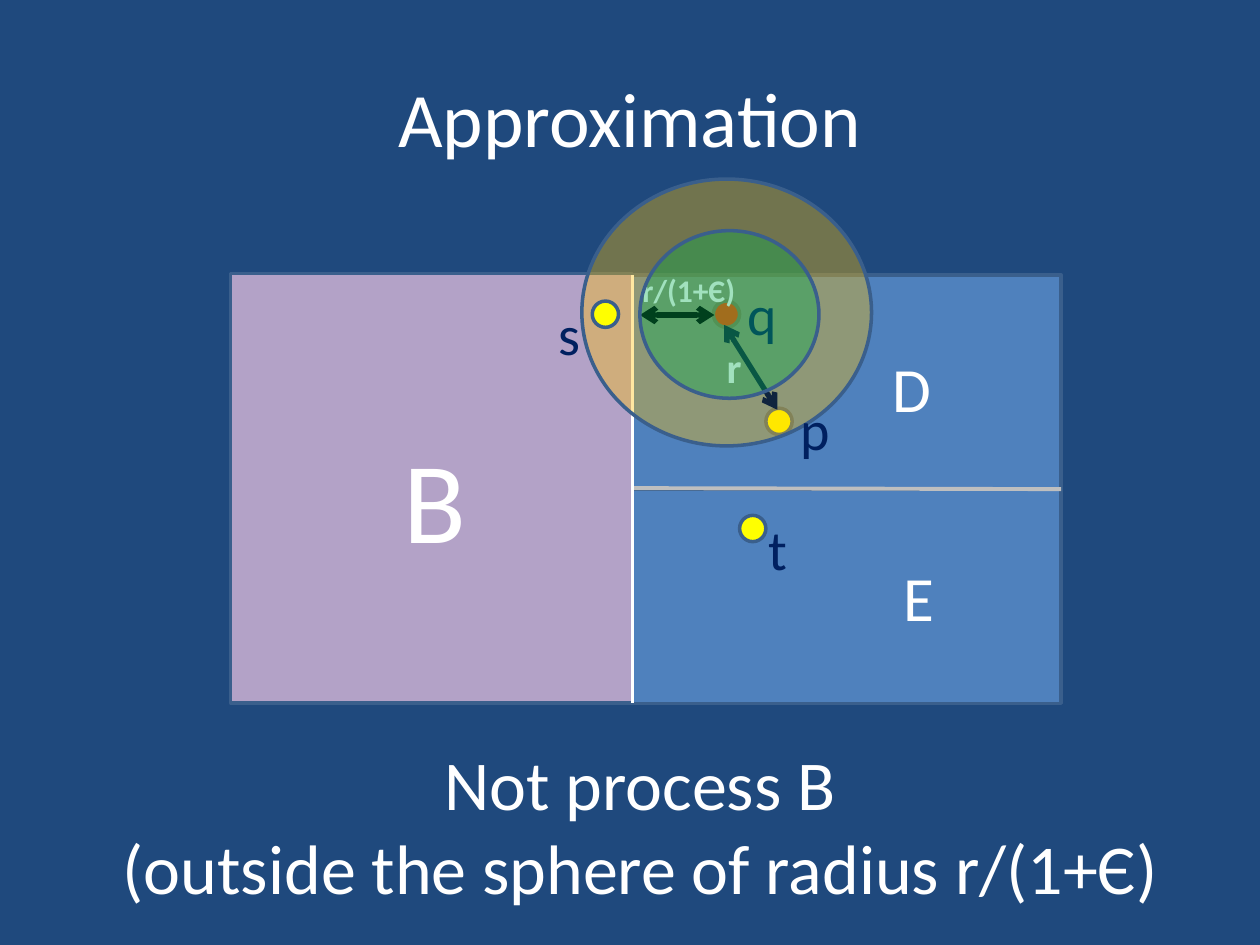
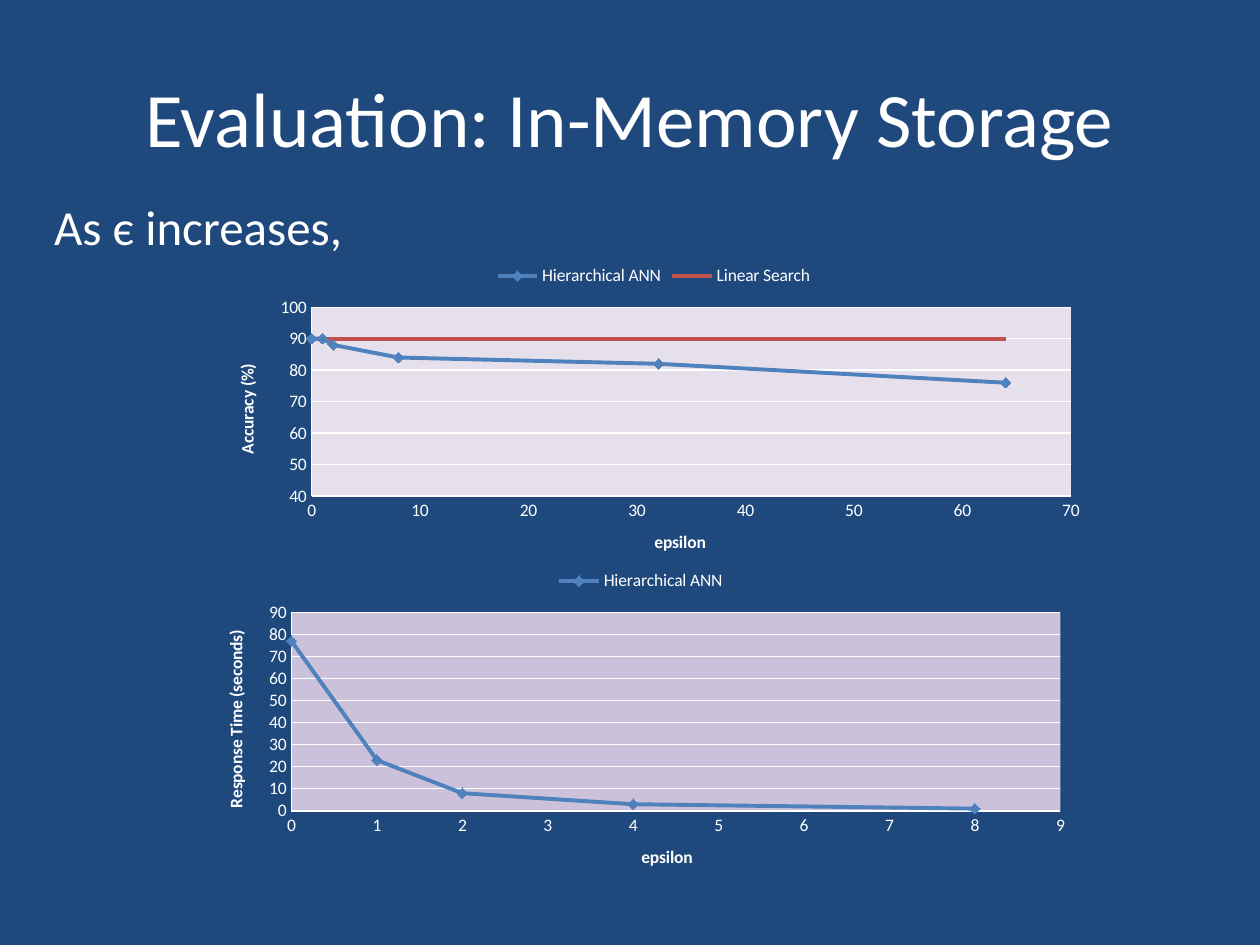
from lxml.etree import SubElement
from pptx import Presentation
from pptx.chart.data import XyChartData
from pptx.dml.color import RGBColor
from pptx.enum.chart import XL_CHART_TYPE, XL_LEGEND_POSITION, XL_MARKER_STYLE, XL_TICK_MARK
from pptx.enum.shapes import MSO_CONNECTOR, MSO_SHAPE
from pptx.enum.text import MSO_ANCHOR, PP_ALIGN
from pptx.oxml.ns import qn
from pptx.util import Cm, Pt

FONT = "Calibri"
COLORS = {
    "background": "1F497D", "white": "FFFFFF", "outline": "3A5F8C", "blue": "4F81BD",
    "purple": "B3A2C7", "red": "FF0000", "yellow": "FFFF00", "amber": "FFC000",
    "green": "00B050", "navy": "002060", "ink": "0F243E", "black": "000000",
    "gray": "BFBFBF", "brick": "C0504D", "lilac": "CCC1DA", "pale lilac": "E6E0EC",
}
RGB = {name: RGBColor.from_string(value) for name, value in COLORS.items()}


def add_figure(page, kind, place, color, alpha=None):
    figure = page.shapes.add_shape(kind, *[Cm(length) for length in place])
    figure.shadow.inherit = False
    figure.fill.solid()
    figure.fill.fore_color.rgb = RGB[color]
    figure.line.color.rgb = RGB["outline"]
    figure.line.width = Pt(2)
    if alpha:
        fill = figure.element.spPr.find(qn("a:solidFill"))
        SubElement(fill[0], qn("a:alpha"), val=str(alpha * 1000))
    return figure


def write_text(box, text, size, color="white", align=PP_ALIGN.LEFT, bold=False):
    box.text_frame.text = text
    box.text_frame.word_wrap = True
    for para in box.text_frame.paragraphs:
        para.alignment = align
        for span in para.runs:
            span.font.name = FONT
            span.font.size = Pt(size)
            span.font.bold = bold
            span.font.color.rgb = RGB[color]


deck = Presentation()
deck.slide_width, deck.slide_height = Cm(25.4), Cm(19.05)

# Both pages: background and title
pages = []
for heading in ["Approximation", "Evaluation: In-Memory Storage"]:
    page = deck.slides.add_slide(deck.slide_layouts[5])
    page.background.fill.solid()
    page.background.fill.fore_color.rgb = RGB["background"]
    title = page.shapes.title
    title.left, title.top, title.width, title.height = Cm(1.27), Cm(0.76), Cm(22.86), Cm(3.18)
    write_text(title, heading, 44, align=PP_ALIGN.CENTER)
    title.text_frame.vertical_anchor = MSO_ANCHOR.MIDDLE
    pages.append(page)
diagram_page, chart_page = pages

# Cells B, E and D
split_x, right_x = 12.75, 21.39
top_y, middle_y, bottom_y = 5.54, 9.86, 14.18
cell_b = add_figure(diagram_page, MSO_SHAPE.RECTANGLE, (4.65, 5.51, 8.1, 8.66), "purple")
for cell_top in (middle_y, top_y):
    add_figure(diagram_page, MSO_SHAPE.RECTANGLE,
               (split_x, cell_top, right_x - split_x, middle_y - top_y), "blue")

# Query point q and data points p and t
DOT = 0.53
for left, top, color in [(14.38, 6.07, "red"), (15.44, 8.23, "yellow"), (14.91, 10.39, "yellow")]:
    add_figure(diagram_page, MSO_SHAPE.OVAL, (left, top, DOT, DOT), color)

# Outer sphere lies above the cell borders and names, below the arrows
borders = [
    (split_x, middle_y, right_x, middle_y, "gray", 2.25, False),
    (split_x, top_y, split_x, bottom_y, "white", 2.25, False),
]
radius_arrows = [
    (14.6, 6.55, 15.67, 8.26, "ink", 3, True),
    (12.9, 6.35, 14.4, 6.35, "black", 3, True),
]
cell_names = [
    ("D", 16.71, 6.93, 3.33, 1.8, 36, "white", PP_ALIGN.CENTER, False),
    ("E", 17.07, 11.13, 2.9, 1.8, 36, "white", PP_ALIGN.CENTER, False),
    ("B", 7.87, 8.51, 1.8, 3.07, 66, "white", PP_ALIGN.CENTER, False),
]
point_names = [
    (name, left, top, 1.27, 1.63, 32, "navy", PP_ALIGN.LEFT, False)
    for name, left, top in [("q", 14.81, 5.51), ("p", 15.88, 7.82),
                            ("t", 15.24, 10.24), ("s", 11, 5.92)]
]
radius_names = [
    ("r", 14.4, 6.76, 1.27, 1.27, 24, "white", PP_ALIGN.LEFT, True),
    ("r/(1+Є)", 12.7, 5.33, 2.74, 1.02, 18, "white", PP_ALIGN.LEFT, True),
]
caption = [("Not process B\n(outside the sphere of radius r/(1+Є)",
            2.11, 14.81, 21.59, 3.68, 40, "white", PP_ALIGN.CENTER, False)]

for lines, labels, sphere in [
    (borders, cell_names, ((11.73, 3.61, 5.84, 5.38), "amber")),
    (radius_arrows, caption + point_names + radius_names, ((12.9, 4.65, 3.61, 3.38), "green")),
]:
    for x1, y1, x2, y2, color, width, pointed in lines:
        connector = diagram_page.shapes.add_connector(
            MSO_CONNECTOR.STRAIGHT, Cm(x1), Cm(y1), Cm(x2), Cm(y2))
        connector.line.color.rgb = RGB[color]
        connector.line.width = Pt(width)
        properties = connector.element.spPr
        if pointed:
            for end in ("a:headEnd", "a:tailEnd"):
                SubElement(properties.find(qn("a:ln")), qn(end), type="arrow")
        SubElement(properties, qn("a:effectLst"))
        if color == "gray":
            connector.begin_connect(cell_b, 3)
    for text, left, top, width, height, size, color, align, bold in labels:
        box = diagram_page.shapes.add_textbox(Cm(left), Cm(top), Cm(width), Cm(height))
        write_text(box, text, size, color, align, bold)
        box.text_frame.word_wrap = text != "B"
    add_figure(diagram_page, MSO_SHAPE.OVAL, *sphere, alpha=37)

# Data point s, in front of the spheres
add_figure(diagram_page, MSO_SHAPE.OVAL, (11.94, 6.07, DOT, DOT), "yellow")

# Charts: response time below, accuracy above
epsilons = [0, 1, 2, 8, 32, 64]
charts = [
    ((4.01, 11.23, 17.81, 6.78), "Response Time (seconds)", None, "lilac",
     [("Hierarchical ANN", "blue", [0, 1, 2, 4, 8], [77, 23, 8, 3, 1])]),
    ((4.24, 5.08, 17.88, 6.58), "Accuracy (%)", 40, "pale lilac",
     [("Hierarchical ANN", "blue", epsilons, [90, 90, 88, 84, 82, 76]),
      ("Linear Search", "brick", epsilons, [90] * 6)]),
]
for place, measure, minimum, plot_color, curves in charts:
    data = XyChartData()
    for name, color, xs, ys in curves:
        points = data.add_series(name)
        for x, y in zip(xs, ys):
            points.add_data_point(x, y)
    chart = chart_page.shapes.add_chart(
        XL_CHART_TYPE.XY_SCATTER_SMOOTH, *[Cm(length) for length in place], data).chart
    chart.has_title = False
    chart.font.name = FONT
    chart.font.size = Pt(10)
    chart.font.color.rgb = RGB["white"]
    chart.has_legend = True
    chart.legend.position = XL_LEGEND_POSITION.TOP
    chart.legend.include_in_layout = False
    chart.plots[0].vary_by_categories = False

    # Axes and grid
    for axis, name in [(chart.category_axis, "epsilon"), (chart.value_axis, measure)]:
        axis.major_tick_mark = axis.minor_tick_mark = XL_TICK_MARK.NONE
        axis.format.line.color.rgb = RGB["white"]
        axis.has_major_gridlines = axis is not chart.category_axis and name == measure
        write_text(axis.axis_title, name, 10, bold=True, align=PP_ALIGN.CENTER)
    chart.value_axis.major_gridlines.format.line.color.rgb = RGB["white"]
    if minimum is not None:
        chart.value_axis.minimum_scale = minimum

    # Curves
    for series, (name, color, xs, ys) in zip(chart.plots[0].series, curves):
        series.smooth = True
        series.format.line.color.rgb = RGB[color]
        series.format.line.width = Pt(2.25)
        if color == "brick":
            series.marker.style = XL_MARKER_STYLE.NONE
            continue
        series.marker.style = XL_MARKER_STYLE.DIAMOND
        series.marker.size = 6
        series.marker.format.fill.solid()
        series.marker.format.fill.fore_color.rgb = RGB[color]
        series.marker.format.line.color.rgb = RGB[color]

    # Plot area fill
    plot_area = chart.element.find(qn("c:chart")).find(qn("c:plotArea"))
    fill = SubElement(SubElement(plot_area, qn("c:spPr")), qn("a:solidFill"))
    SubElement(fill, qn("a:srgbClr"), val=COLORS[plot_color])

# Lead-in above the charts
lead = chart_page.shapes.add_textbox(Cm(0.84), Cm(3.84), Cm(14.4), Cm(1.45))
write_text(lead, "As є increases,", 28)

deck.save("out.pptx")
